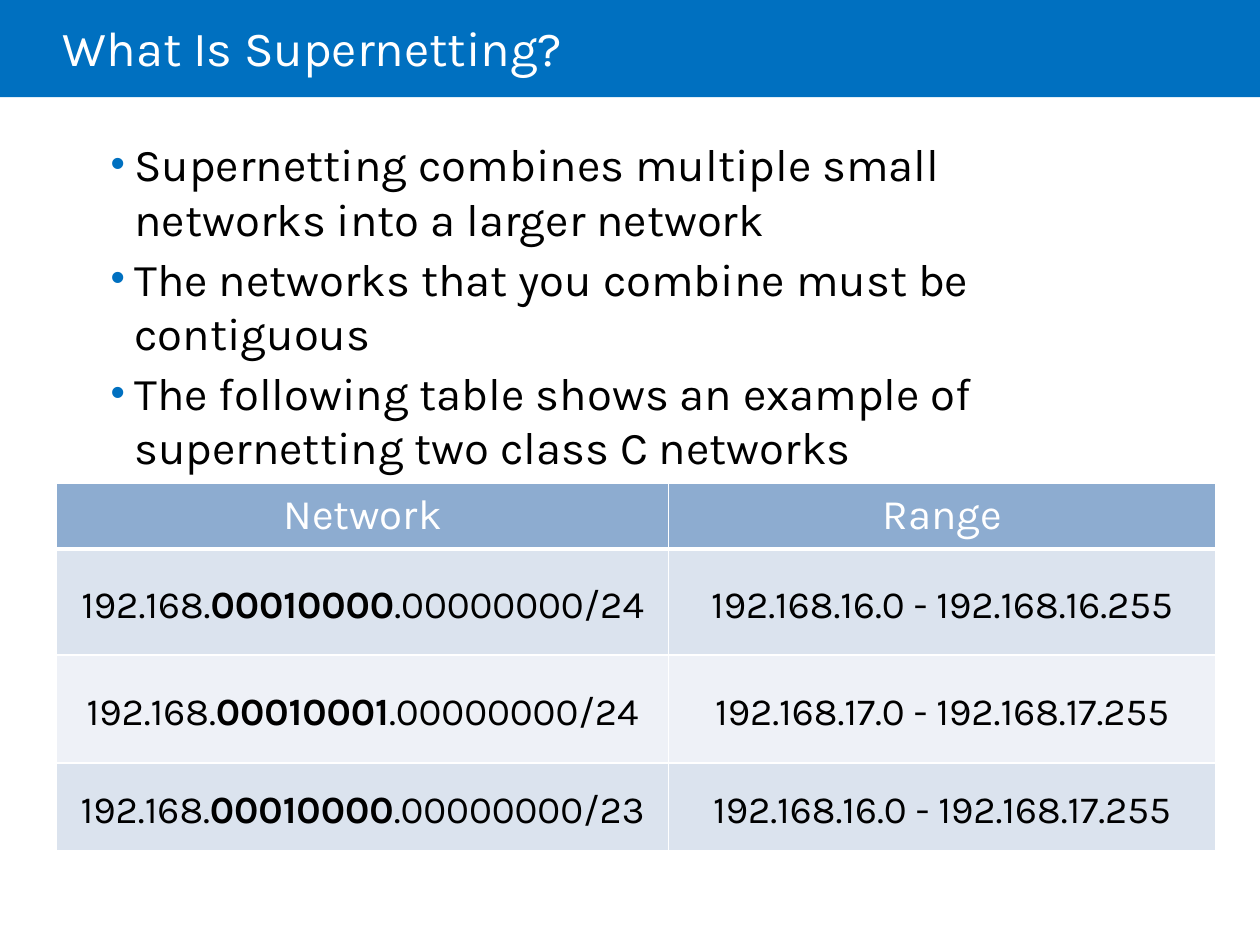
from dataclasses import dataclass

from lxml.etree import SubElement
from pptx import Presentation
from pptx.dml.color import RGBColor
from pptx.enum.shapes import MSO_SHAPE
from pptx.enum.text import MSO_ANCHOR, PP_ALIGN
from pptx.oxml.ns import qn
from pptx.util import Cm, Pt

FONT = "Karla"
COLORS = {
    "blue": "0070C0",
    "white": "FFFFFF",
    "black": "000000",
    "header": "8DACD0",
    "band_dark": "DBE3EE",
    "band_light": "EEF1F7",
}
BULLETS = (
    "Supernetting combines multiple small networks into a larger network",
    "The networks that you combine must be contiguous",
    "The following table shows an example of supernetting two class C networks",
)
COLUMN_WIDTHS = (12.34, 11.02)
ROW_HEIGHTS = (1.32, 2.13, 2.18, 1.78)


@dataclass
class Network:
    octet: str
    suffix: int
    address_range: str


NETWORKS = (
    Network("00010000", 24, "192.168.16.0 - 192.168.16.255"),
    Network("00010001", 24, "192.168.17.0 - 192.168.17.255"),
    Network("00010000", 23, "192.168.16.0 - 192.168.17.255"),
)


def color(name: str) -> RGBColor:
    return RGBColor.from_string(COLORS[name])


def set_attributes(target, values: dict) -> None:
    for name, value in values.items():
        setattr(target, name, value)


def add_run(paragraph, text: str, size: int, color_name: str, bold: bool = False) -> None:
    run = paragraph.add_run()
    run.text = text
    set_attributes(run.font, {"name": FONT, "size": Pt(size), "bold": bold})
    run.font.color.rgb = color(color_name)


def add_bullet(paragraph) -> None:
    properties = paragraph._p.get_or_add_pPr()
    properties.set("marL", str(Cm(0.48)))
    properties.set("indent", str(-Cm(0.48)))
    bullet_color = SubElement(properties, qn("a:buClr"))
    SubElement(bullet_color, qn("a:srgbClr"), val=COLORS["blue"])
    SubElement(properties, qn("a:buSzPct"), val="90000")
    SubElement(properties, qn("a:buFont"), typeface="Arial")
    SubElement(properties, qn("a:buChar"), char="•")


def add_title(slide, text: str) -> None:
    banner = slide.shapes.add_shape(MSO_SHAPE.RECTANGLE, 0, 0, Cm(25.4), Cm(1.96))
    banner.shadow.inherit = False
    banner.fill.solid()
    banner.fill.fore_color.rgb = color("blue")
    banner.line.fill.background()

    frame = slide.shapes.add_textbox(Cm(1.27), 0, Cm(21.59), Cm(2.06)).text_frame
    set_attributes(frame, {
        "word_wrap": True, "margin_left": 0, "vertical_anchor": MSO_ANCHOR.MIDDLE,
    })
    paragraph = frame.paragraphs[0]
    paragraph.line_spacing = 0.85
    add_run(paragraph, text, 28, "white")


def add_bullet_list(slide, lines: tuple[str, ...]) -> None:
    frame = slide.shapes.add_textbox(Cm(1.98), Cm(2.62), Cm(20.96), Cm(7.47)).text_frame
    frame.word_wrap = True
    for index, line in enumerate(lines):
        paragraph = frame.add_paragraph() if index else frame.paragraphs[0]
        add_bullet(paragraph)
        if index:
            paragraph.space_before = Pt(3)
        add_run(paragraph, line, 26, "black")


def format_cell(cell, fill_name: str, bottom_width: int = 1) -> None:
    set_attributes(cell, {
        "margin_left": Cm(0.18), "margin_right": Cm(0.18),
        "margin_top": 0, "margin_bottom": 0,
    })
    properties = cell._tc.get_or_add_tcPr()
    for side, width in (("L", 1), ("R", 1), ("T", 1), ("B", bottom_width)):
        border = SubElement(properties, qn(f"a:ln{side}"), w=str(Pt(width)))
        border_fill = SubElement(border, qn("a:solidFill"))
        SubElement(border_fill, qn("a:srgbClr"), val=COLORS["white"])
    cell.fill.solid()
    cell.fill.fore_color.rgb = color(fill_name)
    set_attributes(cell.text_frame.paragraphs[0], {
        "alignment": PP_ALIGN.CENTER, "line_spacing": 1.15,
    })


def add_network_table(slide, networks: tuple[Network, ...]) -> None:
    table = slide.shapes.add_table(
        len(ROW_HEIGHTS), len(COLUMN_WIDTHS), Cm(1.14), Cm(9.75),
        Cm(sum(COLUMN_WIDTHS)), Cm(sum(ROW_HEIGHTS)),
    ).table
    for column, width in zip(table.columns, COLUMN_WIDTHS):
        column.width = Cm(width)
    for row, height in zip(table.rows, ROW_HEIGHTS):
        row.height = Cm(height)

    # Header row
    for cell, heading in zip(table.rows[0].cells, ("Network", "Range")):
        format_cell(cell, "header", bottom_width=3)
        add_run(cell.text_frame.paragraphs[0], heading, 24, "white")

    # Banded body rows with the third octet in bold
    for index, network in enumerate(networks):
        contents = (
            (("192.168.", False), (network.octet, True),
             (f".00000000/{network.suffix}", False)),
            ((network.address_range, False),),
        )
        for cell, parts in zip(table.rows[index + 1].cells, contents):
            format_cell(cell, "band_light" if index % 2 else "band_dark")
            cell.vertical_anchor = MSO_ANCHOR.MIDDLE
            for text, bold in parts:
                add_run(cell.text_frame.paragraphs[0], text, 22, "black", bold)


def main() -> None:
    presentation = Presentation()
    set_attributes(presentation, {"slide_width": Cm(25.4), "slide_height": Cm(19.05)})
    slide = presentation.slides.add_slide(presentation.slide_layouts[6])
    add_title(slide, "What Is Supernetting?")
    add_bullet_list(slide, BULLETS)
    add_network_table(slide, NETWORKS)
    presentation.save("out.pptx")


if __name__ == "__main__":
    main()
